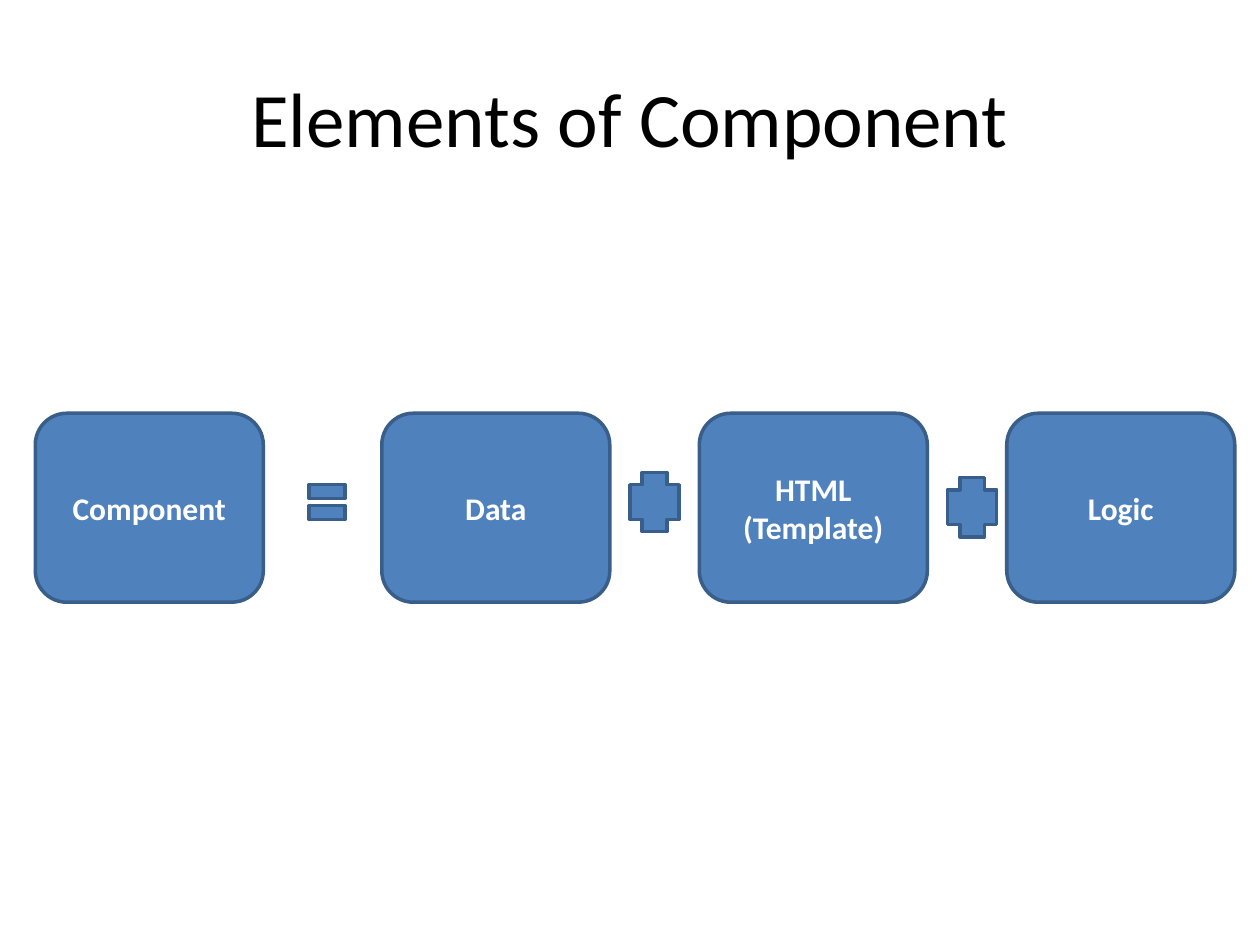
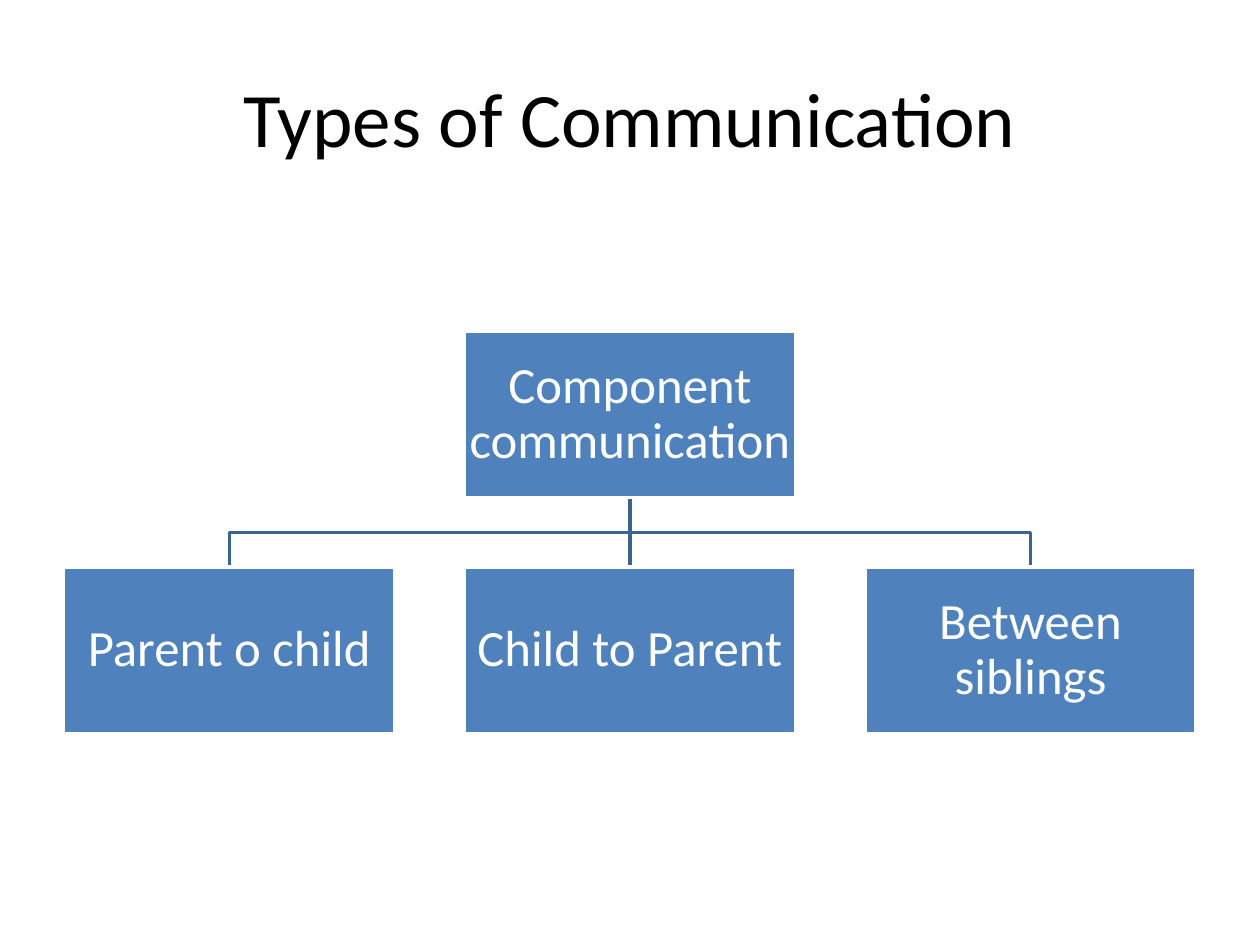
import pptx
import pptx.util
import pptx.dml.color
import pptx.enum.shapes
import pptx.enum.text
import pptx.oxml.ns
import lxml.etree

Inches = pptx.util.Inches
Pt = pptx.util.Pt
RGBColor = pptx.dml.color.RGBColor
KIND = pptx.enum.shapes.MSO_SHAPE
MIDDLE = pptx.enum.text.MSO_ANCHOR.MIDDLE
CENTER = pptx.enum.text.PP_ALIGN.CENTER

BLUE = RGBColor(0x4F, 0x81, 0xBD)
EDGE = RGBColor(0x39, 0x5E, 0x89)
LINK = RGBColor(0x3B, 0x64, 0x95)
WHITE = RGBColor(0xFF, 0xFF, 0xFF)
BLACK = RGBColor(0, 0, 0)
FONT = "Calibri"

deck = pptx.Presentation()
deck.slide_width = Inches(10)
deck.slide_height = Inches(7.5)


def write(shape, text, size, color, bold=False, inset=(0.1, 0.05), spacing=None):
    frame = shape.text_frame
    frame.word_wrap = True
    frame.vertical_anchor = MIDDLE
    frame.margin_left = frame.margin_right = Inches(inset[0])
    frame.margin_top = frame.margin_bottom = Inches(inset[1])
    frame.text = text
    for para in frame.paragraphs:
        para.alignment = CENTER
        para.line_spacing = spacing
        para.font.name = FONT
        para.font.size = Pt(size)
        para.font.bold = bold
        para.font.color.rgb = color


def draw(slide, kind, left, top, width, height, edge):
    shape = slide.shapes.add_shape(
        kind, Inches(left), Inches(top), Inches(width), Inches(height))
    shape.shadow.inherit = False
    shape.fill.solid()
    shape.fill.fore_color.rgb = BLUE
    shape.line.color.rgb = edge
    shape.line.width = Pt(2)
    return shape


slides = []
for head in ("Elements of Component", "Types of Communication"):
    slide = deck.slides.add_slide(deck.slide_layouts[5])
    title = slide.shapes.title
    title.left, title.top = Inches(0.5), Inches(0.3)
    title.width, title.height = Inches(9), Inches(1.25)
    write(title, head, 44, BLACK)
    slides.append(slide)
parts, types = slides

for left, text in ((0.28, "Component"), (3.03, "Data"),
                   (5.55, "HTML\n(Template)"), (7.99, "Logic")):
    box = draw(parts, KIND.ROUNDED_RECTANGLE, left, 3.28, 1.81, 1.5, EDGE)
    write(box, text, 18, WHITE, bold=True)

for kind, left, top in ((KIND.MATH_EQUAL, 2.4, 3.75),
                        (KIND.CROSS, 5, 3.75), (KIND.CROSS, 7.52, 3.79)):
    draw(parts, kind, left, top, 0.39, 0.47, EDGE)

WIDE, HIGH = 2.63, 1.32
MID, STEP = 5, 3.18
ROOT, LEAF = 2.63, 4.5
BASE = ROOT + HIGH
BEND = (BASE + LEAF) / 2

for end in (MID + STEP, MID - STEP):
    pen = types.shapes.build_freeform(Inches(MID), Inches(BASE))
    pen.add_line_segments(
        [(Inches(x), Inches(y)) for x, y in ((MID, BEND), (end, BEND), (end, LEAF))],
        close=False)
    elbow = pen.convert_to_shape()
    elbow.shadow.inherit = False
    elbow.fill.background()
    elbow.line.color.rgb = LINK
    elbow.line.width = Pt(2)

stem = types.shapes.add_connector(
    pptx.enum.shapes.MSO_CONNECTOR.STRAIGHT,
    Inches(MID), Inches(BASE), Inches(MID), Inches(LEAF))
stem.line.color.rgb = LINK
stem.line.width = Pt(2)
lxml.etree.SubElement(stem._element.spPr, pptx.oxml.ns.qn("a:effectLst"))

for mid, top, text in ((MID, ROOT, "Component communication"),
                       (MID - STEP, LEAF, "Parent o child"),
                       (MID, LEAF, "Child to Parent"),
                       (MID + STEP, LEAF, "Between siblings")):
    box = draw(types, KIND.RECTANGLE, mid - WIDE / 2, top, WIDE, HIGH, WHITE)
    write(box, text, 29, WHITE, inset=(0.02, 0.02), spacing=0.9)

deck.save("out.pptx")
